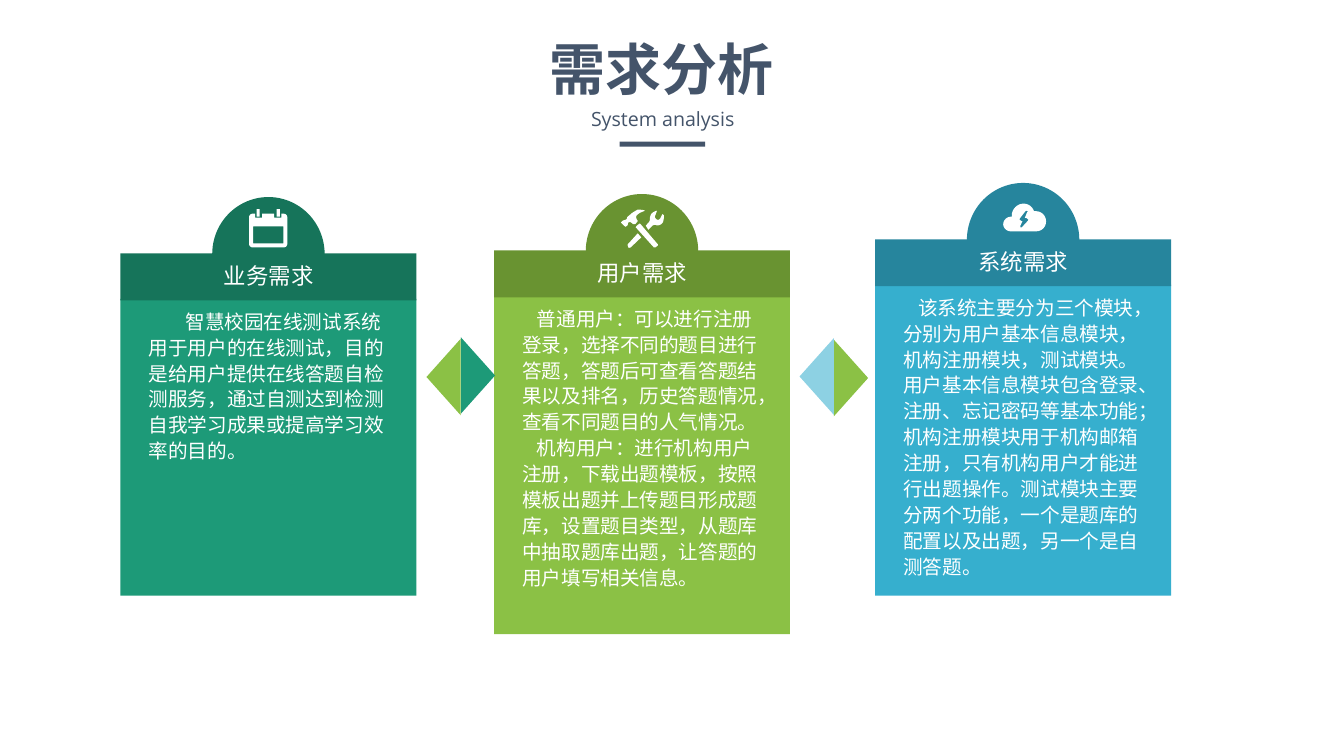
from dataclasses import dataclass

from lxml import etree
from pptx import Presentation, util as u
from pptx.dml.color import RGBColor
from pptx.enum import shapes, text
from pptx.oxml.ns import qn


@dataclass(frozen=True)
class Theme:
    ink: str = "44546A"
    white: str = "FFFFFF"
    teal: tuple = ("16745A", "1D9A78")
    green: tuple = ("699331", "8BC145")
    blue: tuple = ("26859D", "36AFCE")
    pale: str = "8DD1E3"
    cjk: str = "Noto Sans CJK SC"
    latin: str = "Open Sans"
    title: int = 80
    head: int = 32
    body: int = 28


THEME = Theme()
COLS, ROWS = 26.66, 15  # one grid cell is one inch square
WIDE = 5.87  # card width
HEAD = 0.93  # card heading height
DOME = (2.23, 2.26)

# Icon outlines in hundredths of a cell: two numbers make a line, six a curve.
DATE = [
    [(68, 9), (64, 9), (64, 17), (50, 17), (50, 9), (26, 9), (26, 17), (12, 17),
     (12, 9), (8, 9), (3, 9, 0, 12, 0, 17), (0, 68), (0, 73, 3, 76, 8, 76),
     (68, 76), (73, 76, 76, 73, 76, 68), (76, 17), (76, 12, 73, 9, 68, 9)],
    [(68, 68), (8, 68), (8, 34), (68, 34)],
    *[[(x, 0), (x, 15), (x + 6, 15), (x + 6, 0)] for x in (15, 55)],
]
TOOLS = [
    [(14, 26), (17, 23, 20, 25, 24, 29), (26, 29), (28, 29), (33, 23), (33, 22),
     (31, 19), (23, 8, 51, 2, 47, 2), (44, 0, 35, 0, 33, 0),
     (29, 2, 22, 6, 19, 9), (13, 14), (11, 15, 13, 19, 9, 20), (3, 22), (0, 25),
     (0, 26), (6, 32), (9, 34), (13, 31)],
    [(38, 28), (36, 28), (31, 32), (29, 35), (65, 75), (68, 75), (73, 71), (73, 69)],
    [(85, 11), (82, 9), (79, 15), (77, 19, 74, 22, 70, 19), (65, 14, 67, 13, 68, 11),
     (71, 3), (70, 2), (68, 3, 59, 6, 58, 13), (56, 17, 59, 22, 54, 26), (49, 32),
     (54, 40), (62, 32), (63, 31, 67, 29, 70, 31), (77, 32, 80, 29, 83, 25),
     (85, 20, 85, 13, 85, 11)],
    [(13, 69), (13, 71), (15, 76), (19, 75), (40, 55), (33, 47)],
]
CLOUD = [
    [(65, 15), (61, 15), (58, 6, 50, 0, 40, 0), (28, 0, 17, 11, 17, 23), (17, 26),
     (15, 26), (8, 26, 0, 32, 0, 41), (0, 49, 8, 55, 15, 55), (65, 55),
     (76, 55, 85, 47, 85, 35), (85, 24, 76, 15, 65, 15)],
    [(49, 34), (37, 47), (34, 47), (34, 44), (38, 35), (35, 34), (32, 31), (34, 28),
     (44, 15), (47, 14), (49, 15), (47, 18), (43, 28), (47, 29), (50, 32)],
]

# Left, heading top, bottom, colours, icon, icon offset, title, (indent, text)
CARDS = [
    (2.39, 5.03, 11.82, THEME.teal, DATE, (2.55, -0.88), "业务需求", [
        (0.73, "智慧校园在线测试系统用于用户的在线测试，目的是给用户提供在线答题"
               "自检测服务，通过自测达到检测自我学习成果或提高学习效率的目的。")]),
    (9.8, 4.97, 12.58, THEME.green, TOOLS, (2.52, -0.81), "用户需求", [
        (0.29, "普通用户：可以进行注册登录，选择不同的题目进行答题，答题后可查看"
               "答题结果以及排名，历史答题情况，查看不同题目的人气情况。"),
        (0.29, "机构用户：进行机构用户注册，下载出题模板，按照模板出题并上传题目"
               "形成题库，设置题目类型，从题库中抽取题库出题，让答题的用户填写"
               "相关信息。")]),
    (17.36, 4.75, 11.82, THEME.blue, CLOUD, (2.54, -0.71), "系统需求", [
        (0.29, "该系统主要分为三个模块，分别为用户基本信息模块，机构注册模块，"
               "测试模块。用户基本信息模块包含登录、注册、忘记密码等基本功能；"
               "机构注册模块用于机构邮箱注册，只有机构用户才能进行出题操作。"
               "测试模块主要分两个功能，一个是题库的配置以及出题，另一个是自测答题。")]),
]

# Base line, tip offset, top, colour
WEDGES = [
    (9.14, 0.68, 6.69, THEME.teal[1]),
    (9.14, -0.68, 6.72, THEME.green[1]),
    (16.54, 0.68, 6.74, THEME.green[1]),
    (16.54, -0.68, 6.71, THEME.pale),
]


def trace(parts, steps=8):
    """Turn lines and cubic curves into a list of points."""
    pts = []
    for part in parts:
        if len(part) == 2:
            pts.append(part)
            continue
        ends = pts[-1] + part
        for i in range(1, steps + 1):
            t = i / steps
            mix = ((1 - t) ** 3, 3 * t * (1 - t) ** 2, 3 * t * t * (1 - t), t ** 3)
            pts.append(tuple(sum(m * v for m, v in zip(mix, ends[k::2]))
                             for k in (0, 1)))
    return pts


class Deck:
    def __init__(self, theme):
        self.theme = theme
        self.prs = Presentation()
        self.prs.slide_width = u.Inches(COLS)
        self.prs.slide_height = u.Inches(ROWS)
        self.slide = self.prs.slides.add_slide(self.prs.slide_layouts[6])

    def paint(self, shape, color):
        shape.shadow.inherit = False
        shape.fill.solid()
        shape.fill.fore_color.rgb = RGBColor.from_string(color)
        shape.line.fill.background()

    def block(self, box, color, kind=shapes.MSO_SHAPE.RECTANGLE):
        self.paint(self.slide.shapes.add_shape(kind, *map(u.Inches, box)), color)

    def outline(self, left, top, paths, color, unit=1.0):
        """Draw closed paths as one shape; unit is their step in cells."""
        rings = [[(u.Inches(left + x * unit), u.Inches(top + y * unit))
                  for x, y in trace(path)] for path in paths]
        pen = self.slide.shapes.build_freeform(*rings[0][0], scale=1.0)
        for i, ring in enumerate(rings):
            if i:
                pen.move_to(*ring[0])
            pen.add_line_segments(ring[1:], close=True)
        self.paint(pen.convert_to_shape(), color)

    def label(self, box, paras, size, color, face, pad=(0, 0), wrap=True,
              bold=False, align=text.PP_ALIGN.CENTER, lead=None):
        """Add a text box; paras holds pairs of first-line indent and text."""
        frame = self.slide.shapes.add_textbox(*map(u.Inches, box)).text_frame
        side, edge = map(u.Inches, pad)
        look = {"margin_left": side, "margin_right": side, "margin_top": edge,
                "margin_bottom": edge, "word_wrap": wrap}
        for key, value in look.items():
            setattr(frame, key, value)
        for i, (indent, words) in enumerate(paras):
            para = frame.add_paragraph() if i else frame.paragraphs[0]
            if indent:
                para._p.get_or_add_pPr().set("indent", str(u.Inches(indent)))
            para.alignment, para.line_spacing = align, lead
            run = para.add_run()
            run.text = words
            run.font.color.rgb = RGBColor.from_string(color)
            for key, value in {"size": u.Pt(size), "bold": bold, "name": face}.items():
                setattr(run.font, key, value)
            asian = etree.SubElement(run._r.get_or_add_rPr(), qn("a:ea"))
            asian.set("typeface", face)

    def card(self, left, top, base, colors, icon, shift, title, paras):
        dark, light = colors
        th = self.theme
        self.block((left + 1.82, top - 1.12, *DOME), dark, shapes.MSO_SHAPE.OVAL)
        self.block((left, top + 0.9, WIDE, base - top - 0.9), light)
        self.block((left, top, WIDE, HEAD), dark)
        self.label((left + 0.32, top + 0.95, 5.25, 5.9), paras, th.body, th.white,
                   th.cjk, (0.24, 0.12), align=text.PP_ALIGN.LEFT, lead=1.1)
        self.label((left + 2.04, top + 0.17, 1.8, 0.54), [(0, title)], th.head,
                   th.white, th.cjk, wrap=False)
        self.outline(left + shift[0], top + shift[1], icon, th.white, 0.01)

    def wedge(self, left, tip, top, color):
        self.outline(left, top, [[(0, 1.52), (tip, 0.76), (0, 0)]], color)

    def banner(self, title, note):
        th = self.theme
        self.label((10.78, 0.64, 4.69, 1.45), [(0, title)], th.title, th.ink, th.cjk,
                   (0.1, 0.05), wrap=False, bold=True)
        self.block((12.29, 2.81, 1.7, 0.1), th.ink)
        self.label((6.77, 1.9, 12.75, 0.92), [(0, note)], th.body, th.ink, th.latin,
                   (0.24, 0.12), lead=1.2)


def main():
    deck = Deck(THEME)
    deck.banner("需求分析", "System analysis")
    for card in CARDS:
        deck.card(*card)
    for wedge in WEDGES:
        deck.wedge(*wedge)
    deck.prs.save("out.pptx")


if __name__ == "__main__":
    main()
